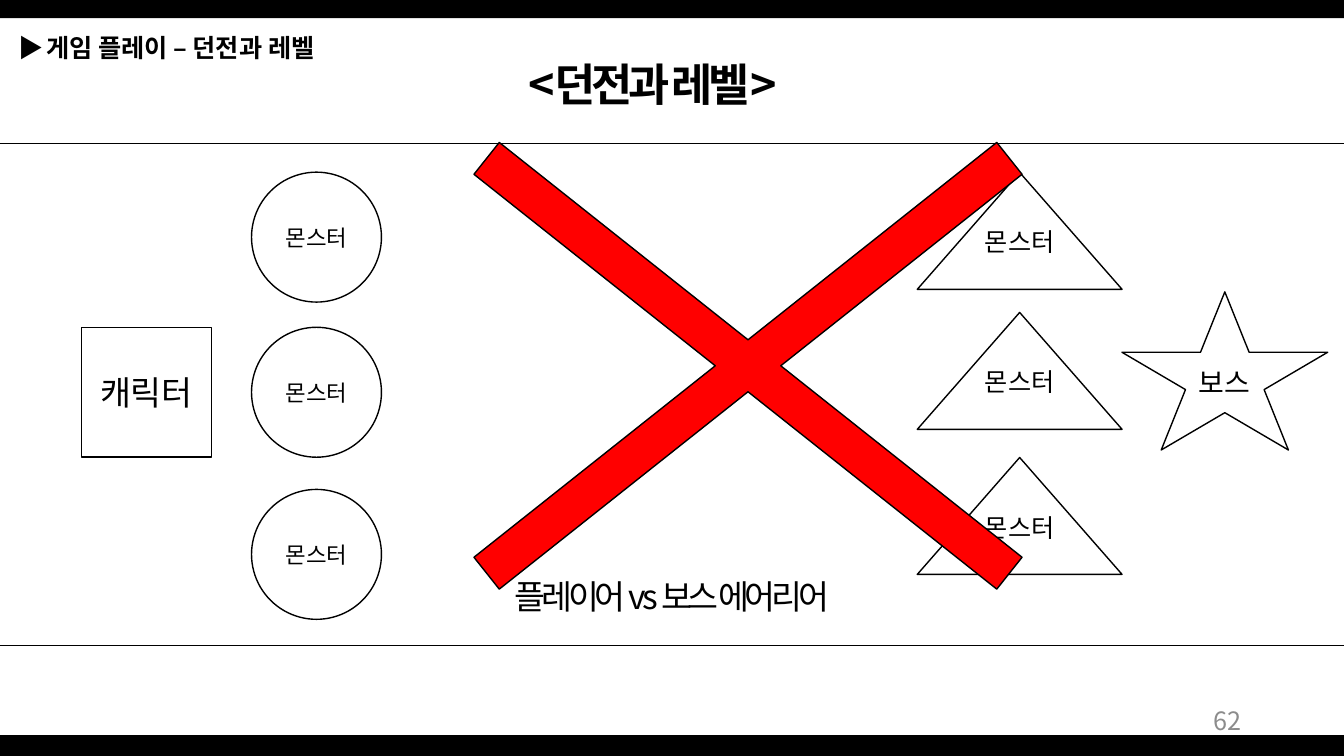
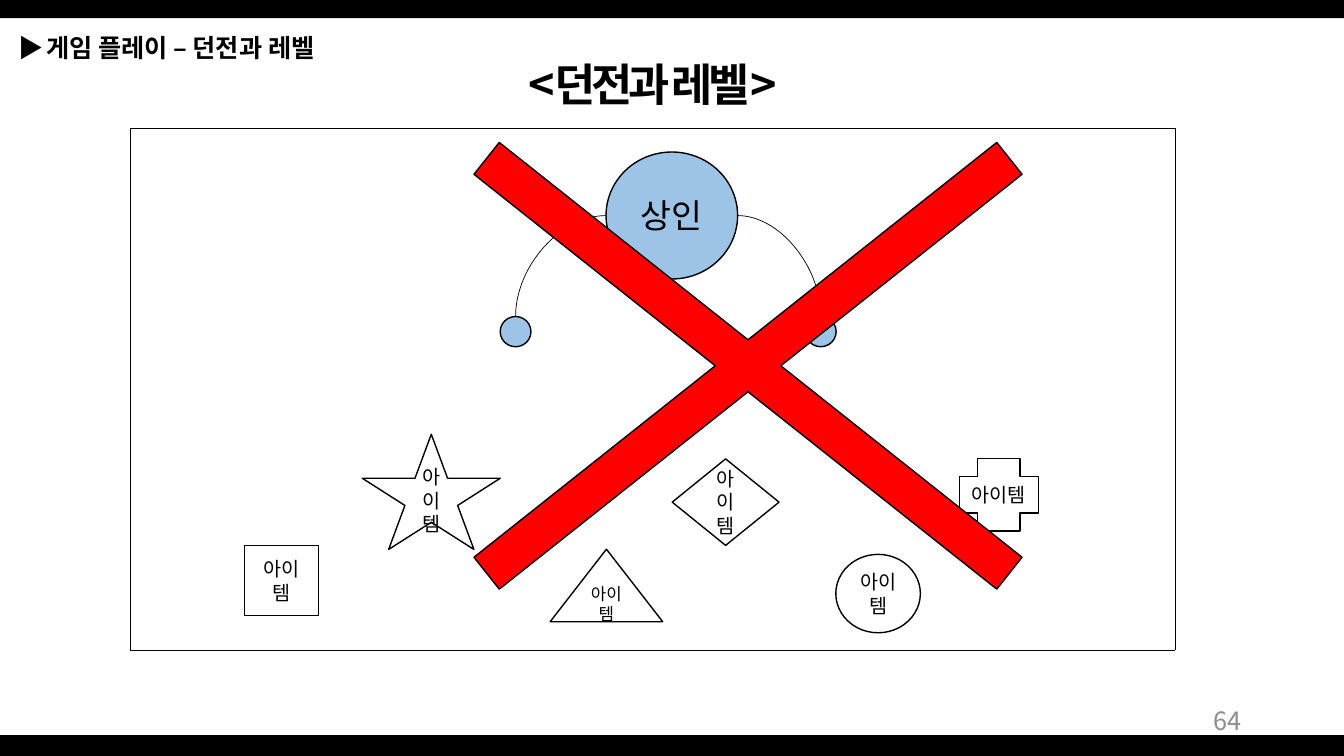
from lxml.etree import SubElement
from pptx import Presentation
from pptx.dml.color import RGBColor
from pptx.enum.shapes import MSO_CONNECTOR, MSO_SHAPE
from pptx.enum.text import MSO_ANCHOR, MSO_AUTO_SIZE, PP_ALIGN
from pptx.oxml.ns import qn
from pptx.util import Pt

WIDTH, HEIGHT = 960, 540


def tint(code):
    return RGBColor.from_string(code)


def assign(target, **values):
    for name, value in values.items():
        setattr(target, name, value)


class Deck:
    font = "Noto Sans CJK KR"
    black, white, red, blue, gray = "000000", "FFFFFF", "FF0000", "9DC3E6", "8C8C8C"

    def __init__(self):
        self.file = Presentation()
        assign(self.file, slide_width=Pt(WIDTH), slide_height=Pt(HEIGHT))
        self.slide = None

    def start(self, number):
        self.slide = self.file.slides.add_slide(self.file.slide_layouts[6])
        self.bar(0, 13)
        self.bar(525, 15)
        self.text([("<던전과 레벨>", 32, True, -3)], 344.2, 36.7, 243.4, 46)
        self.text([(number, 18, False, 0)], 678.2, 500.4, 216, 28.8, self.gray,
                  PP_ALIGN.RIGHT, MSO_ANCHOR.MIDDLE, MSO_AUTO_SIZE.NONE)

    def finish(self):
        self.text([("▶ ", 18, False, -2), ("게임 플레이 – 던전과 레벨", 18, True, 0)],
                  5.8, 19.4, 297.4, 29, align=PP_ALIGN.LEFT)
        cross = self.shape(MSO_SHAPE.MATH_MULTIPLY, 175, -23.8, 718.6, 570.2, self.red)
        cross.adjustments[0] = 0.051

    def label(self, frame, runs, color, align):
        para = frame.paragraphs[0]
        para.alignment = align
        for words, size, bold, space in runs:
            run = para.add_run()
            run.text = words
            assign(run.font, size=Pt(size), bold=bold, name=self.font)
            run.font.color.rgb = tint(color)
            props = run._r.get_or_add_rPr()
            props.set("spc", str(space * 100))
            SubElement(props, qn("a:ea")).set("typeface", self.font)

    def text(self, runs, left, top, width, height, color=black, align=PP_ALIGN.CENTER,
             anchor=MSO_ANCHOR.TOP, fit=MSO_AUTO_SIZE.SHAPE_TO_FIT_TEXT):
        box = self.slide.shapes.add_textbox(Pt(left), Pt(top), Pt(width), Pt(height))
        assign(box.text_frame, word_wrap=True, auto_size=fit, vertical_anchor=anchor)
        self.label(box.text_frame, runs, color, align)

    def shape(self, kind, left, top, width, height, fill=white, words="", size=14, lift=0):
        item = self.slide.shapes.add_shape(kind, Pt(left), Pt(top), Pt(width), Pt(height))
        item.shadow.inherit = False
        item.fill.solid()
        item.fill.fore_color.rgb = tint(fill)
        item.line.color.rgb = tint(self.black)
        item.line.width = Pt(1)
        if words:
            assign(item.text_frame, word_wrap=True, vertical_anchor=MSO_ANCHOR.MIDDLE,
                   margin_bottom=Pt(3.6 + lift))
            self.label(item.text_frame, [(words, size, False, 0)], self.black, PP_ALIGN.CENTER)
        return item

    def bar(self, top, height):
        band = self.shape(MSO_SHAPE.RECTANGLE, 0, top, WIDTH, height, self.black)
        band.line.fill.background()

    def line(self, *ends, kind=MSO_CONNECTOR.STRAIGHT):
        link = self.slide.shapes.add_connector(kind, *map(Pt, ends))
        link.line.color.rgb = tint(self.black)
        link.line.width = Pt(0.5)
        props = link._element.spPr
        SubElement(props, qn("a:effectLst"))
        if kind == MSO_CONNECTOR.CURVE:
            props.find(qn("a:prstGeom")).set("prst", "curvedConnector2")


def battle(deck):
    deck.start("62")
    for top in (102.2, 460.8):
        deck.line(0, top, WIDTH, top)
    for top in (123, 233.8, 349.6):
        deck.shape(MSO_SHAPE.OVAL, 179.7, top, 92.8, 92.8, words="몬스터", size=16)
    deck.shape(MSO_SHAPE.RECTANGLE, 58.2, 233.8, 92.8, 92.8, words="캐릭터", size=24)
    for top in (123.2, 223.2, 326.8):
        deck.shape(MSO_SHAPE.ISOSCELES_TRIANGLE, 655.2, top, 146.3, 83.5,
                   words="몬스터", size=18, lift=26)
    deck.text([("플레이어 vs 보스 에어리어", 24, False, -3)], 338.4, 407.5, 283, 36.4)
    deck.shape(MSO_SHAPE.STAR_5_POINT, 801.4, 208.5, 147, 113, words="보스", size=20)
    deck.finish()


def market(deck):
    deck.start("64")
    deck.shape(MSO_SHAPE.OVAL, 432.9, 108.6, 94, 90.7, deck.blue, "상인", 24)
    left, top, right, base = 93, 91.5, 839.5, 464.5
    for side in (left, right):
        deck.line(side, top, side, base)
    for edge in (top, base):
        deck.line(left, edge, right, edge)
    items = [
        (MSO_SHAPE.OVAL, 597, 396, 60.4, 56, 14),
        (MSO_SHAPE.RECTANGLE, 174.8, 389.7, 52.7, 50, 14),
        (MSO_SHAPE.ISOSCELES_TRIANGLE, 393, 392.3, 80.4, 51.8, 12),
        (MSO_SHAPE.STAR_5_POINT, 258.8, 310.2, 98.6, 82.3, 14),
        (MSO_SHAPE.CROSS, 685.4, 327.6, 56.2, 51.8, 14),
        (MSO_SHAPE.FLOWCHART_DECISION, 480.2, 327.8, 76.3, 61.8, 14),
    ]
    for kind, *place, size in items:
        deck.shape(kind, *place, words="아이템", size=size)
    for start, hand in ((432.9, 368.3), (526.9, 586.3)):
        deck.line(start, 154, hand, 226.1, kind=MSO_CONNECTOR.CURVE)
        deck.shape(MSO_SHAPE.OVAL, hand - 11, 226.1, 22, 21.6, deck.blue)
    deck.finish()


def main():
    deck = Deck()
    battle(deck)
    market(deck)
    deck.file.save("out.pptx")


if __name__ == "__main__":
    main()
